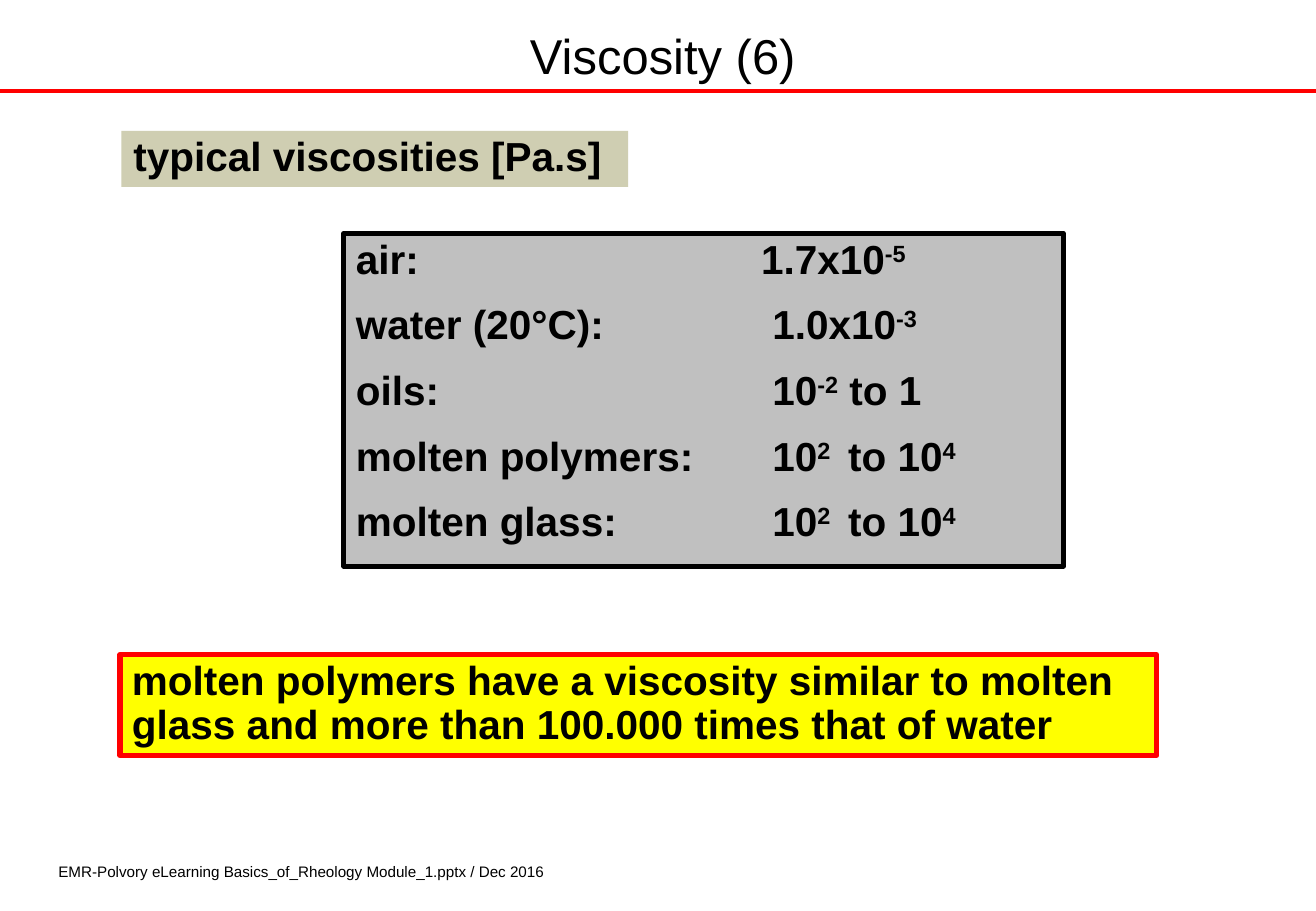
import pptx
import pptx.dml.color
import pptx.enum.shapes
import pptx.enum.text
import pptx.oxml
import pptx.oxml.ns
import pptx.util
from dataclasses import dataclass

Cm, Pt = pptx.util.Cm, pptx.util.Pt
Align, Anchor = pptx.enum.text.PP_ALIGN, pptx.enum.text.MSO_ANCHOR


@dataclass
class Theme:
    font: str = "Arial"
    black: str = "000000"
    red: str = "FF0000"
    yellow: str = "FFFF00"
    grey: str = "C0C0C0"
    beige: str = "CFCEB2"
    title: int = 29
    body: int = 24
    footer: int = 9


theme = Theme()


def color(code):
    return pptx.dml.color.RGBColor.from_string(code)


def add_span(para, text, size, bold=False, raised=False):
    span = para.add_run()
    span.text = text
    span.font.name = theme.font
    span.font.size = Pt(size)
    span.font.bold = bold
    span.font.color.rgb = color(theme.black)
    if raised:
        span.font._element.set("baseline", "30000")


deck = pptx.Presentation()
deck.slide_width, deck.slide_height = Cm(27.51), Cm(19.05)
page = deck.slides.add_slide(deck.slide_layouts[6])

# Red rule below the title
rule = page.shapes.add_connector(
    pptx.enum.shapes.MSO_CONNECTOR.STRAIGHT, 0, Cm(1.9), deck.slide_width, Cm(1.9))
rule.line.color.rgb = color(theme.red)
rule.line.width = Pt(2.25)
rule._element.spPr.append(pptx.oxml.parse_xml(
    "<a:effectLst %s/>" % pptx.oxml.ns.nsdecls("a")))

# Title and footer
for text, size, align, anchor, inset, left, top, width, height in [
    ("Viscosity (6)", theme.title, Align.CENTER, Anchor.MIDDLE, 0,
     0.79, 0.53, 26.14, 1.22),
    ("EMR-Polvory eLearning Basics_of_Rheology Module_1.pptx / Dec 2016",
     theme.footer, Align.LEFT, Anchor.TOP, 0.13, 0.99, 17.91, 10.77, 0.61),
]:
    box = page.shapes.add_textbox(Cm(left), Cm(top), Cm(width), Cm(height))
    frame = box.text_frame
    frame.word_wrap = True
    frame.vertical_anchor = anchor
    frame.margin_left = frame.margin_right = Cm(0.23)
    frame.margin_top = frame.margin_bottom = Cm(inset)
    para = frame.paragraphs[0]
    para.alignment = align
    add_span(para, text, size)

# Panels: each paragraph alternates normal and raised spans
heading = [["typical viscosities [Pa.s]"]]
viscosities = [
    ["air:\t1.7x10", "-5"],
    ["water (20°C):\t 1.0x10", "-3"],
    ["oils:\t 10", "-2", " to 1"],
    ["molten polymers:\t 10", "2 ", " to 10", "4"],
    ["molten glass:\t 10", "2 ", " to 10", "4"],
]
conclusion = [["molten polymers have a viscosity similar to molten glass "
               "and more than 100.000 times that of water"]]

for rows, fill, border, left, top, width, height in [
    (heading, theme.beige, None, 2.54, 2.74, 10.59, 1.17),
    (viscosities, theme.grey, theme.black, 7.19, 4.88, 15.04, 6.96),
    (conclusion, theme.yellow, theme.red, 2.51, 13.69, 21.67, 2.11),
]:
    panel = page.shapes.add_shape(
        pptx.enum.shapes.MSO_SHAPE.RECTANGLE, Cm(left), Cm(top), Cm(width), Cm(height))
    panel.shadow.inherit = False
    panel.fill.solid()
    panel.fill.fore_color.rgb = color(fill)
    if border:
        panel.line.color.rgb = color(border)
        panel.line.width = Pt(3)
    else:
        panel.line.fill.background()
    frame = panel.text_frame
    frame.word_wrap = True
    frame.vertical_anchor = Anchor.TOP
    for index, row in enumerate(rows):
        para = frame.paragraphs[0] if index == 0 else frame.add_paragraph()
        if rows is viscosities:
            # Tab stop of the value column
            para._element.get_or_add_pPr().append(pptx.oxml.parse_xml(
                '<a:tabLst %s><a:tab pos="%d" algn="l"/></a:tabLst>'
                % (pptx.oxml.ns.nsdecls("a"), Cm(8.47))))
        para.alignment = Align.LEFT
        para.line_spacing = 0.9
        if index:
            para.space_before = Pt(13)
        for position, text in enumerate(row):
            add_span(para, text, theme.body, bold=True, raised=position % 2 == 1)

deck.save("out.pptx")
